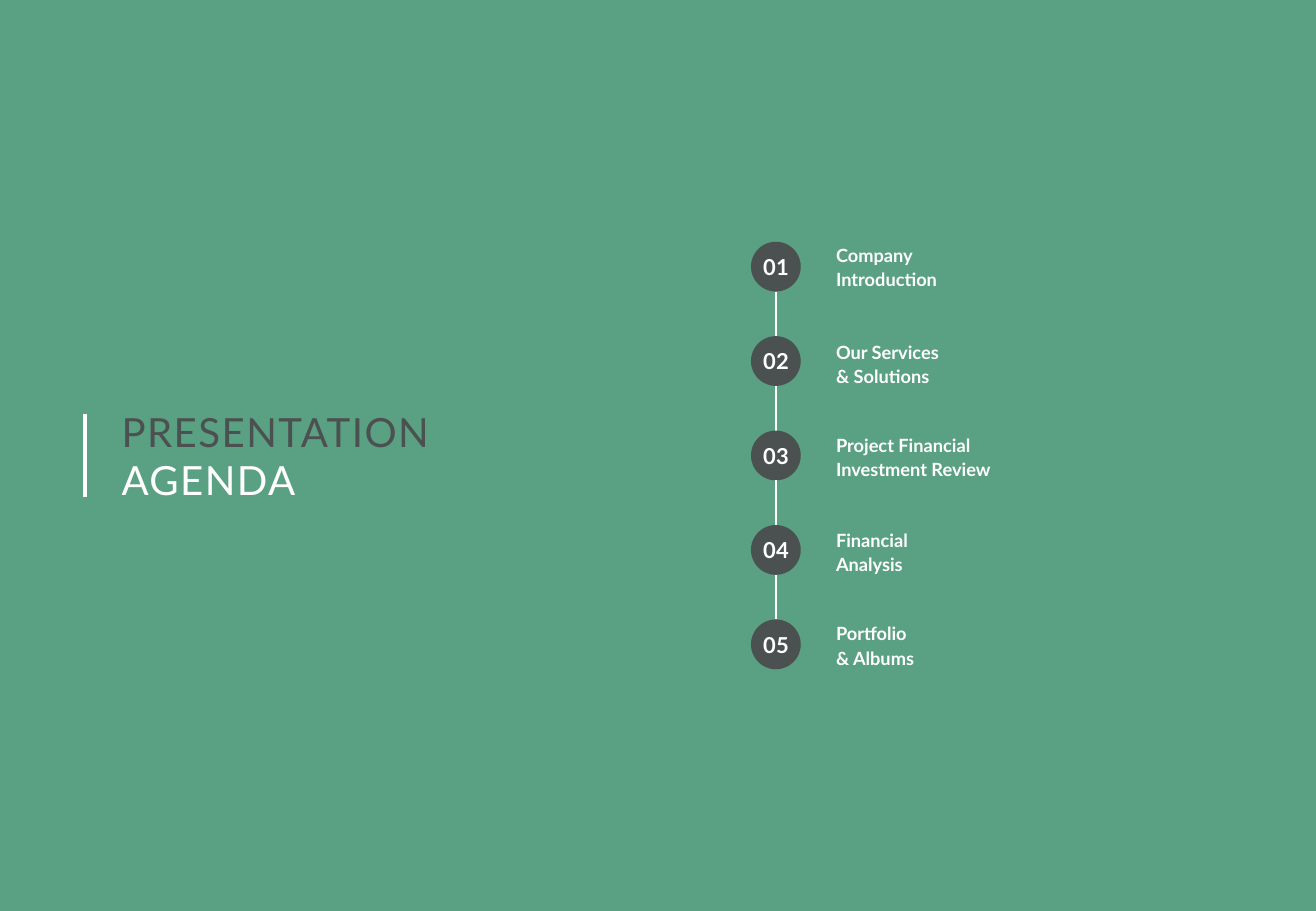
"""Build the presentation agenda slide with a numbered vertical timeline."""
from pptx import Presentation
from pptx.dml.color import RGBColor
from pptx.enum import shapes, text
from pptx.oxml.ns import qn
from pptx.util import Inches, Pt

GREEN, GRAY, WHITE = "5AA082", "4B5050", "FFFFFF"
CIRCLE_LEFT, CIRCLE_TOP, CIRCLE_SIZE, PITCH = 6.18, 1.99, 0.41, 0.7775
AGENDA = [
    ("Company\nIntroduction", 1.99),
    ("Our Services\n& Solutions", 2.79),
    ("Project Financial\nInvestment Review", 3.56),
    ("Financial\nAnalysis", 4.34),
    ("Portfolio\n& Albums", 5.11),
]


def write(shape, content, size, colors, bold=False, spacing=0, line_spacing=1.0,
          align=text.PP_ALIGN.LEFT, anchor=text.MSO_ANCHOR.TOP):
    frame = shape.text_frame
    frame.margin_left = frame.margin_top = frame.margin_right = frame.margin_bottom = 0
    frame.word_wrap = True
    frame.auto_size = text.MSO_AUTO_SIZE.NONE
    frame.vertical_anchor = anchor
    frame.text = content
    for paragraph, color in zip(frame.paragraphs, colors):
        paragraph.alignment = align
        paragraph.line_spacing = line_spacing
        paragraph.font.name = "Lato"
        paragraph.font.size = Pt(size)
        paragraph.font.bold = bold
        paragraph.font.color.rgb = RGBColor.from_string(color)
        for run in paragraph.runs:
            run._r.get_or_add_rPr().set("spc", str(spacing))


def add_vertical_line(x, top, bottom, width):
    line = slide.shapes.add_connector(
        shapes.MSO_CONNECTOR.STRAIGHT, Inches(x), Inches(top), Inches(x), Inches(bottom))
    line.line.color.rgb = RGBColor.from_string(WHITE)
    line.line.width = Pt(width)
    properties = line._element.spPr
    properties.append(properties.makeelement(qn("a:effectLst"), {}))


presentation = Presentation()
presentation.slide_width = Inches(10.83)
presentation.slide_height = Inches(7.5)
slide = presentation.slides.add_slide(presentation.slide_layouts[5])
slide.background.fill.solid()
slide.background.fill.fore_color.rgb = RGBColor.from_string(GREEN)

add_vertical_line(0.7, 3.41, 4.09, 2.25)
title = slide.shapes.title
title.left, title.top = Inches(1), Inches(3.35)
title.width, title.height = Inches(4.29), Inches(0.8)
write(title, "PRESENTATION\nAGENDA", 23.8, [GRAY, WHITE], spacing=90)

for index, (topic, topic_top) in enumerate(AGENDA):
    top = CIRCLE_TOP + index * PITCH
    circle = slide.shapes.add_shape(
        shapes.MSO_SHAPE.OVAL, Inches(CIRCLE_LEFT), Inches(top),
        Inches(CIRCLE_SIZE), Inches(CIRCLE_SIZE))
    circle.shadow.inherit = False
    circle.fill.solid()
    circle.fill.fore_color.rgb = RGBColor.from_string(GRAY)
    circle.line.fill.background()
    write(circle, f"{index + 1:02}", 13, [WHITE], bold=True, spacing=20,
          align=text.PP_ALIGN.CENTER, anchor=text.MSO_ANCHOR.MIDDLE)
    circle.text_frame.word_wrap = False

    label = slide.shapes.add_textbox(
        Inches(6.88), Inches(topic_top), Inches(1.95), Inches(0.4))
    write(label, topic, 10.8, [WHITE, WHITE], bold=True, line_spacing=1.1)

    if index < len(AGENDA) - 1:
        add_vertical_line(CIRCLE_LEFT + CIRCLE_SIZE / 2, top + CIRCLE_SIZE, top + PITCH, 1)

presentation.save("out.pptx")
